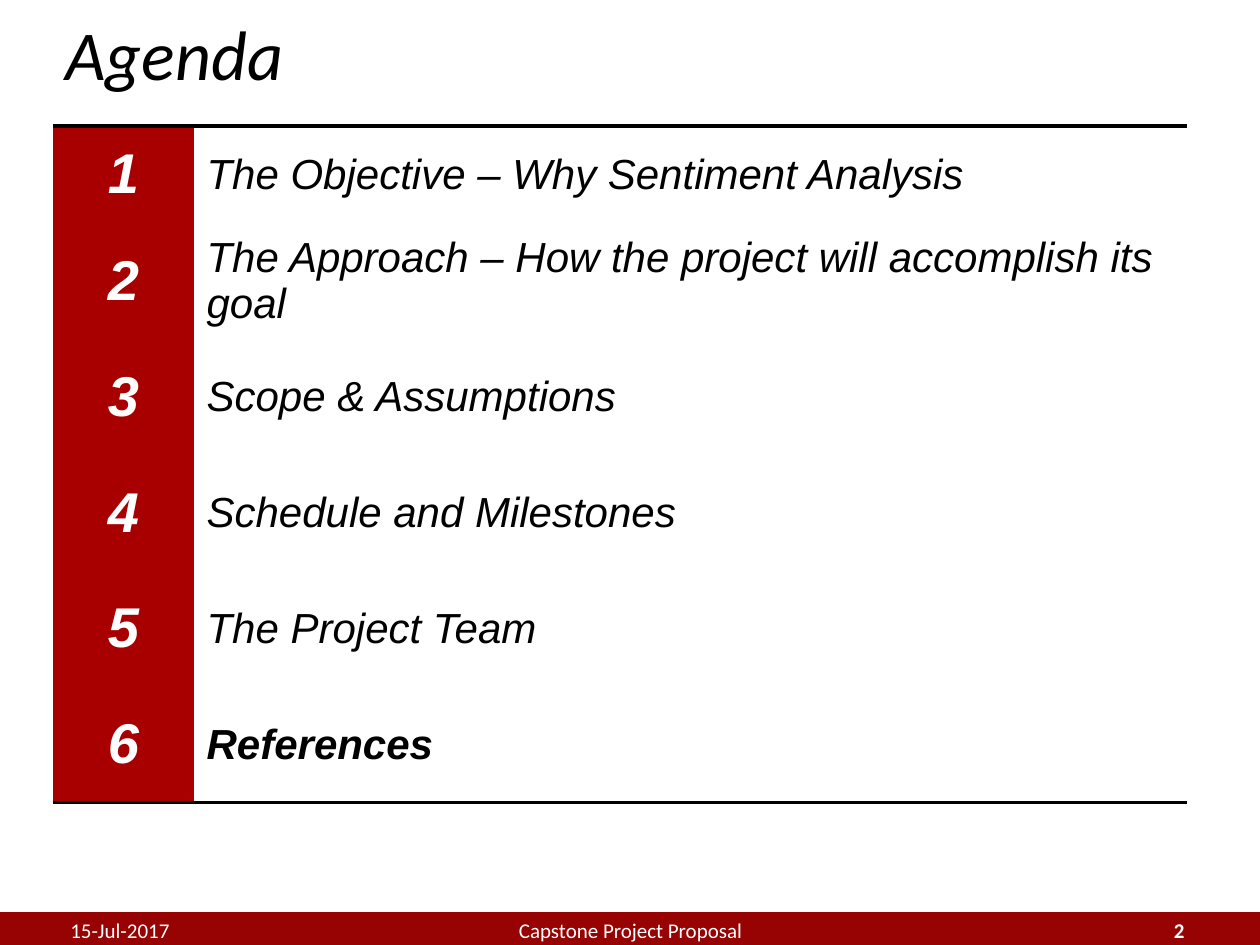
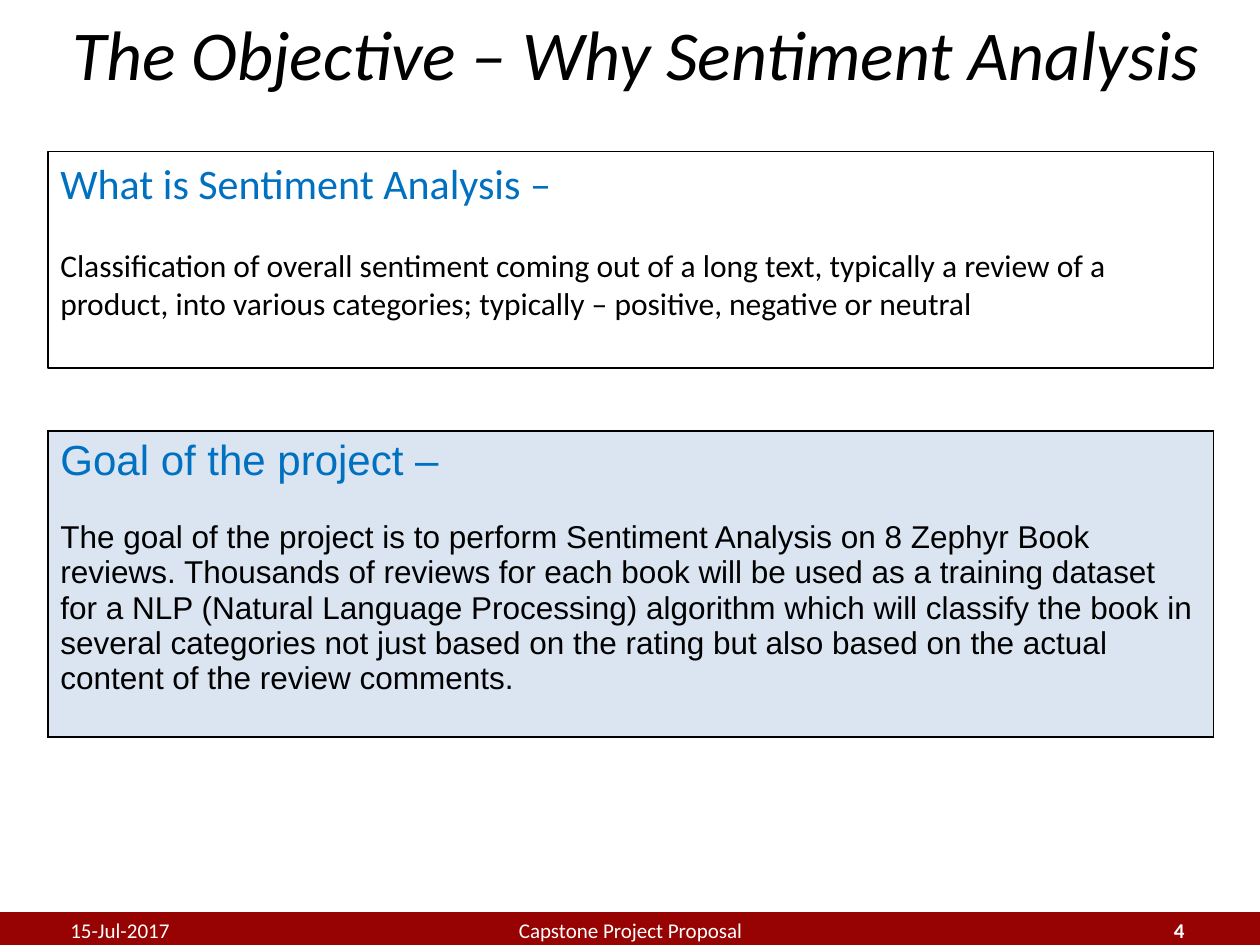
from dataclasses import dataclass, field

from lxml.etree import SubElement as SubEl
from pptx import Presentation
from pptx.dml.color import RGBColor as Rgb
from pptx.enum.shapes import MSO_SHAPE as Kind
from pptx.enum.text import MSO_ANCHOR as Anchor, PP_ALIGN as Align
from pptx.oxml.ns import qn
from pptx.util import Inches, Pt

# Shared look
BAND, RED, BLUE, PALE = "970303", "A80000", "0070C0", "DAE5F1"
BLACK, WHITE = "000000", "FFFFFF"
PLAIN_GRID = "{2D5ABB26-0587-4C30-8999-92F81FD0307C}"
TITLE = {"name": "Calibri", "size": Pt(40), "italic": True}
FOOT = {"name": "Calibri", "size": Pt(12)}
DATE, NAME = "15-Jul-2017", "Capstone Project Proposal"


@dataclass
class Line:
    """One paragraph with its format."""
    text: str
    font: dict
    color: str = BLACK
    align: Align = Align.LEFT
    above: float = 0


@dataclass
class Box:
    """A place on the slide, in inches."""
    left: float
    top: float
    width: float
    height: float

    def area(self) -> tuple:
        return tuple(map(Inches, (self.left, self.top, self.width, self.height)))


@dataclass
class Item:
    """One agenda row."""
    text: str
    height: float = 0.92
    bold: bool = False
    edges: list = field(default_factory=list)


def paint(part, color: str) -> None:
    """Give a fill a solid colour."""
    part.solid()
    part.fore_color.rgb = Rgb.from_string(color)


def write(frame, lines: list[Line]) -> None:
    """Fill a text frame with formatted paragraphs."""
    for spot, line in enumerate(lines):
        para = frame.add_paragraph() if spot else frame.paragraphs[0]
        para.alignment = line.align
        para.space_before = Pt(line.above)
        run = para.add_run()
        run.text = line.text
        for key, value in line.font.items():
            setattr(run.font, key, value)
        run.font.color.rgb = Rgb.from_string(line.color)


def add_label(slide, box: Box, line: Line) -> None:
    """Place a text box centred on its height."""
    frame = slide.shapes.add_textbox(*box.area()).text_frame
    frame.word_wrap = True
    frame.vertical_anchor = Anchor.MIDDLE
    write(frame, [line])


def add_rect(slide, box: Box, fill: str | None, edge: str, width: float):
    """Draw a rectangle, clear when it has no fill."""
    rect = slide.shapes.add_shape(Kind.RECTANGLE, *box.area())
    rect.shadow.inherit = False
    if fill:
        paint(rect.fill, fill)
    else:
        rect.fill.background()
    paint(rect.line.fill, edge)
    rect.line.width = Pt(width)
    return rect


def add_grid(slide, box: Box, wide: list[float], high: list[float]):
    """Add a plain table with given columns and rows."""
    grid = slide.shapes.add_table(len(high), len(wide), *box.area()).table
    props = grid._tbl.tblPr
    props.find(qn("a:tableStyleId")).text = PLAIN_GRID
    grid.first_row = grid.horz_banding = False
    for col, width in zip(grid.columns, wide):
        col.width = Inches(width)
    for row, height in zip(grid.rows, high):
        row.height = Inches(height)
    return grid


def fill_cell(cell, lines: list[Line], fill: str, edges: list[str],
              width: float, anchor: Anchor) -> None:
    """Write a cell, with black rules on the named edges (L, R, T, B)."""
    write(cell.text_frame, lines)
    cell.vertical_anchor = anchor
    props = cell._tc.get_or_add_tcPr()
    for edge in edges:
        rule = SubEl(props, qn(f"a:ln{edge}"), w=str(Pt(width)))
        SubEl(SubEl(rule, qn("a:solidFill")), qn("a:srgbClr"), val=BLACK)
    paint(cell.fill, fill)


def add_frame(deck, title: str, align: Align, number: int):
    """Start a slide with its title, band and footer."""
    slide = deck.slides.add_slide(deck.slide_layouts[6])
    add_rect(slide, Box(0, 7.25, 10, 0.25), BAND, BAND, 2)
    add_label(slide, Box(0.42, 0, 9.25, 0.83), Line(title, TITLE, align=align))
    feet = [
        (3.17, 3.67, Line(NAME, FOOT, WHITE, Align.CENTER)),
        (7.17, 2.33, Line(str(number), FOOT | {"bold": True}, WHITE, Align.RIGHT)),
        (0.46, 2.33, Line(DATE, FOOT, WHITE)),
    ]
    for left, width, line in feet:
        add_label(slide, Box(left, 7.18, width, 0.4), line)
    return slide


def topic(font: str, head: str, body: str, gap: float) -> list[Line]:
    """A blue heading over its body text."""
    return [Line(head, {"name": font, "size": Pt(24)}, BLUE),
            Line(body, {"name": font, "size": Pt(18)}, above=gap)]


def add_agenda(deck) -> None:
    slide = add_frame(deck, "Agenda", Align.LEFT, 2)
    items = [
        Item("The Objective – Why Sentiment Analysis", 0.77, edges=["T"]),
        Item("The Approach – How the project will accomplish its goal"),
        Item("Scope & Assumptions"),
        Item("Schedule and Milestones"),
        Item("The Project Team"),
        Item("References", bold=True, edges=["B"]),
    ]
    grid = add_grid(slide, Box(0.42, 1, 9, 5.35), [1.12, 7.88],
                    [item.height for item in items])
    base = {"name": "Arial", "italic": True}
    for row, item in enumerate(items):
        count = Line(str(row + 1), base | {"size": Pt(32), "bold": True},
                     WHITE, Align.CENTER)
        label = Line(item.text, base | {"size": Pt(24), "bold": item.bold})
        for col, (line, fill) in enumerate([(count, RED), (label, WHITE)]):
            fill_cell(grid.cell(row, col), [line], fill, item.edges, 2,
                      Anchor.MIDDLE)


def add_goal(deck) -> None:
    slide = add_frame(deck, "The Objective – Why Sentiment Analysis",
                      Align.CENTER, 4)
    # Meaning of the term
    rect = add_rect(slide, Box(0.38, 1.2, 9.25, 1.72), None, BLACK, 0.75)
    rect.text_frame.word_wrap = True
    rect.text_frame.vertical_anchor = Anchor.TOP
    write(rect.text_frame, topic(
        "Calibri", "What is Sentiment Analysis –",
        "Classification of overall sentiment coming out of a long text, "
        "typically a review of a product, into various categories; "
        "typically – positive, negative or neutral", 22))
    # Goal panel
    grid = add_grid(slide, Box(0.38, 3.42, 9.25, 2.43), [9.25], [2.43])
    lines = topic(
        "Arial", "Goal of the project –",
        "The goal of the project is to perform Sentiment Analysis on 8 Zephyr "
        "Book reviews. Thousands of reviews for each book will be used as a "
        "training dataset for a NLP (Natural Language Processing) algorithm "
        "which will classify the book in several categories not just based on "
        "the rating but also based on the actual content of the review "
        "comments.", 20.5)
    fill_cell(grid.cell(0, 0), lines, PALE, list("LRTB"), 1, Anchor.TOP)


def main() -> None:
    deck = Presentation()
    deck.slide_width, deck.slide_height = Inches(10), Inches(7.5)
    add_agenda(deck)
    add_goal(deck)
    deck.save("out.pptx")


if __name__ == "__main__":
    main()
